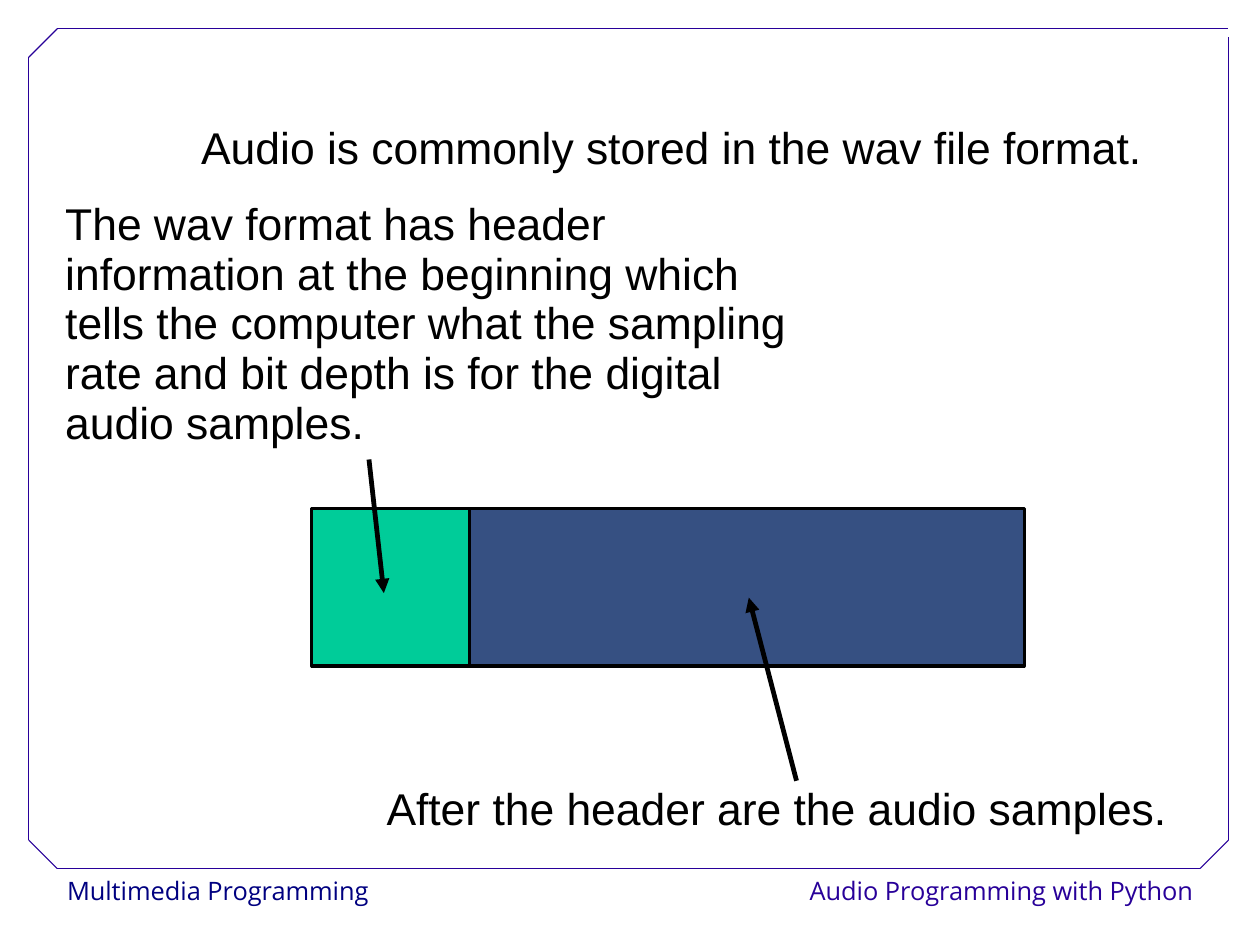
from lxml.etree import SubElement as Sub
from pptx import Presentation
from pptx.dml.color import RGBColor
from pptx.enum.shapes import MSO_CONNECTOR as Link, MSO_SHAPE as Kind
from pptx.enum.text import MSO_ANCHOR as Anchor, PP_ALIGN as Align
from pptx.oxml.ns import qn
from pptx.util import Cm, Pt

BLACK = RGBColor(0, 0, 0)
WHITE = RGBColor(255, 255, 255)
NAVY = RGBColor(0, 0, 128)
VIOLET = RGBColor(0x28, 0, 0x99)
GREEN = RGBColor(0, 0xCC, 0x99)
BLUE = RGBColor(0x36, 0x50, 0x82)


def write(text, left, top, width, height, box=None, size=28, font="Arial",
          color=BLACK, align=Align.LEFT, anchor=Anchor.MIDDLE, space=0.93,
          inset=(0, 0)):
    if box is None:
        box = slide.shapes.add_textbox(0, 0, 0, 0)
    box.left, box.top = Cm(left), Cm(top)
    box.width, box.height = Cm(width), Cm(height)
    frame = box.text_frame
    frame.word_wrap = True
    frame.vertical_anchor = anchor
    frame.margin_left = frame.margin_right = Cm(inset[0])
    frame.margin_top = frame.margin_bottom = Cm(inset[1])
    frame.text = text
    para = frame.paragraphs[0]
    para.alignment = align
    para.line_spacing = space
    para.space_before = Pt(0)
    para.font.size = Pt(size)
    para.font.name = font
    para.font.color.rgb = color
    return box


def draw(start, end, color, width, arrow=False):
    ends = [Cm(n) for n in (*start, *end)]
    line = slide.shapes.add_connector(Link.STRAIGHT, *ends)
    line.line.color.rgb = color
    line.line.width = Pt(width)
    if arrow:
        Sub(line.line._get_or_add_ln(), qn("a:tailEnd"), type="triangle")
    Sub(line._element.spPr, qn("a:effectLst"))


deck = Presentation()
deck.slide_width, deck.slide_height = Cm(28), Cm(21)
slide = deck.slides.add_slide(deck.slide_layouts[5])

for text, left, color, align in (
    ("Multimedia Programming", 1.24, NAVY, Align.LEFT),
    ("Audio Programming with Python", 16.77, VIOLET, Align.RIGHT),
):
    note = write(text, left, 19.3, 10, 1.02, size=16, font="Open Sans",
                 color=color, align=align, anchor=Anchor.TOP, space=1.02,
                 inset=(0.25, 0.13))
    note.fill.solid()
    note.fill.fore_color.rgb = WHITE

near, right, low, cut = 0.64, 27.3, 19.3, 0.63
for start, end in (
    ((near + cut, low), (right - cut, low)),
    ((near, low - cut), (near, near + cut)),
    ((near + cut, near), (right, near)),
    ((right, low - cut), (right, 0.82)),
    ((near, near + cut), (near + cut, near)),
    ((right - cut, low), (right, low - cut)),
    ((near, low - cut), (near + cut, low)),
):
    draw(start, end, VIOLET, 0.75)

write("Audio is commonly stored in the wav file format.",
      4.47, 2.79, 22, 1.09, box=slide.shapes.title)

for left, width, color in ((6.93, 3.5, GREEN), (10.43, 12.33, BLUE)):
    block = slide.shapes.add_shape(Kind.RECTANGLE, Cm(left), Cm(11.3),
                                   Cm(width), Cm(3.5))
    block.shadow.inherit = False
    block.fill.solid()
    block.fill.fore_color.rgb = color
    block.line.color.rgb = BLACK
    block.line.width = Pt(2)

write("After the header are the audio samples.", 8.59, 17.37, 17.75, 1.3)
draw((17.7, 17.35), (16.64, 13.28), BLACK, 3, arrow=True)

write("The wav format has header information at the beginning which tells "
      "the computer what the sampling rate and bit depth is for the digital "
      "audio samples.", 1.45, 4.34, 16.74, 5.77)
draw((8.2, 10.21), (8.53, 13.18), BLACK, 3, arrow=True)

deck.save("out.pptx")
